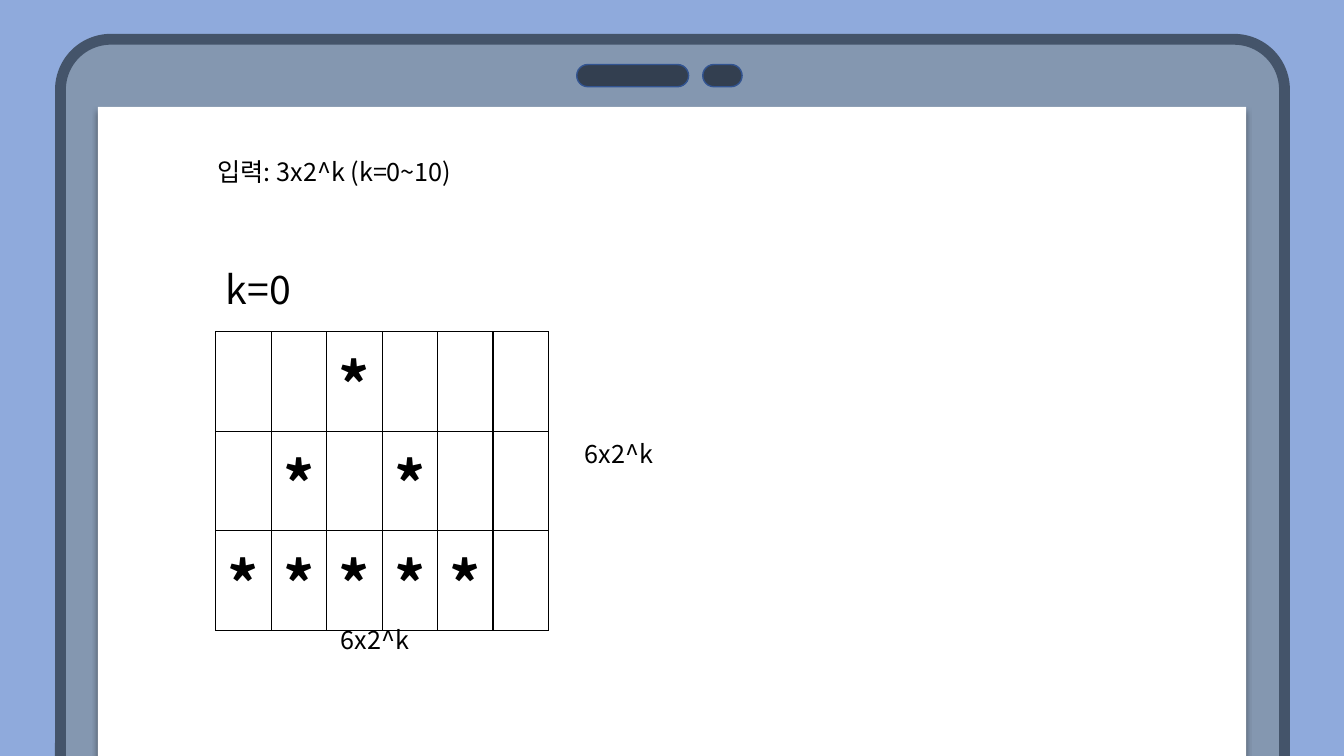
import pptx
import pptx.dml.color
import pptx.enum.shapes
import pptx.enum.text
import pptx.oxml
import pptx.oxml.ns
import pptx.util
from lxml import etree

Inches = pptx.util.Inches
Pt = pptx.util.Pt
qn = pptx.oxml.ns.qn
KINDS = pptx.enum.shapes.MSO_SHAPE

STAR_ROWS = ["  *   ", " * *  ", "***** "]
ROW_HEIGHTS = [0.87, 0.84, 0.84]
COLUMN_WIDTH = 0.55


def color(value):
    return pptx.dml.color.RGBColor.from_string(value)


class TabletSlide:
    FONT = "Noto Sans CJK KR"
    INK = "000000"
    PAPER = "FFFFFF"

    def __init__(self, deck, background):
        self.page = deck.slides.add_slide(deck.slide_layouts[6])
        self.page.background.fill.solid()
        self.page.background.fill.fore_color.rgb = color(background)

    def shape(self, kind, left, top, width, height, fill, line=None, line_width=1, corner=None):
        box = self.page.shapes.add_shape(
            kind, Inches(left), Inches(top), Inches(width), Inches(height))
        box.shadow.inherit = False
        box.fill.solid()
        box.fill.fore_color.rgb = color(fill)
        if corner is not None:
            box.adjustments[0] = corner
        if line:
            box.line.color.rgb = color(line)
            box.line.width = Pt(line_width)
        else:
            box.line.fill.background()
        return box

    def drop_shadow(self, box, size, opacity):
        """Give the box a soft shadow that falls straight down."""
        effects = box.element.spPr.find(qn("a:effectLst"))
        shadow = etree.SubElement(
            effects, qn("a:outerShdw"), blurRad=str(Pt(size)), dist=str(Pt(size)),
            dir="5400000", algn="t", rotWithShape="0")
        tint = etree.SubElement(shadow, qn("a:srgbClr"), val=self.INK)
        etree.SubElement(tint, qn("a:alpha"), val=str(opacity * 1000))

    def style(self, para, size, bold=False):
        para.font.size = Pt(size)
        para.font.bold = bold
        para.font.color.rgb = color(self.INK)
        para.font.name = self.FONT
        properties = para._p.pPr.find(qn("a:defRPr"))
        etree.SubElement(properties, qn("a:ea"), typeface=self.FONT)

    def text(self, words, left, top, width, height=0.4, size=18):
        box = self.page.shapes.add_textbox(
            Inches(left), Inches(top), Inches(width), Inches(height))
        frame = box.text_frame
        frame.word_wrap = True
        frame.auto_size = pptx.enum.text.MSO_AUTO_SIZE.SHAPE_TO_FIT_TEXT
        frame.text = words
        self.style(frame.paragraphs[0], size)

    def border(self, cell, width=1):
        properties = cell._tc.get_or_add_tcPr()
        for side in ("a:lnL", "a:lnR", "a:lnT", "a:lnB"):
            line = etree.SubElement(properties, qn(side), w=str(Pt(width)))
            fill = etree.SubElement(line, qn("a:solidFill"))
            etree.SubElement(fill, qn("a:srgbClr"), val=self.INK)

    def star_table(self, left, top, rows, row_heights, column_width):
        count = len(rows[0])
        table = self.page.shapes.add_table(
            len(rows), count, Inches(left), Inches(top),
            Inches(column_width * count), Inches(sum(row_heights))).table
        table.first_row = False
        table.horz_banding = False
        for column in table.columns:
            column.width = Inches(column_width)
        for row, height, marks in zip(table.rows, row_heights, rows):
            row.height = Inches(height)
            for cell, mark in zip(row.cells, marks):
                self.border(cell)
                cell.fill.solid()
                cell.fill.fore_color.rgb = color(self.PAPER)
                if mark == "*":
                    cell.text = mark
                    cell.vertical_anchor = pptx.enum.text.MSO_ANCHOR.MIDDLE
                    para = cell.text_frame.paragraphs[0]
                    para.alignment = pptx.enum.text.PP_ALIGN.CENTER
                    self.style(para, 44, bold=True)


def main():
    deck = pptx.Presentation()
    deck.slide_width = Inches(13.33)
    deck.slide_height = Inches(7.5)
    slide = TabletSlide(deck, "8FAADC")

    slide.shape(KINDS.ROUNDED_RECTANGLE, 0.6, 0.39, 12.14, 7.93, "8497B0",
                line="44546A", line_width=7.75, corner=0.063)
    screen = slide.shape(KINDS.RECTANGLE, 0.97, 1.06, 11.39, 7.29, slide.PAPER)
    slide.drop_shadow(screen, size=4, opacity=43)
    for left, width in ((5.72, 1.11), (6.97, 0.39)):
        slide.shape(KINDS.ROUNDED_RECTANGLE, left, 0.64, width, 0.22, "333F50",
                    line="325491", corner=0.5)

    slide.star_table(2.14, 3.29, STAR_ROWS, ROW_HEIGHTS, COLUMN_WIDTH)
    slide.text("입력: 3x2^k (k=0~10)", 2.06, 1.5, 4.24)
    for left, top in ((3.28, 6.14), (5.7, 4.3)):
        slide.text("6x2^k", left, top, 0.9)
    slide.text("k=0", 2.14, 2.58, 0.9, 0.57, size=28)

    deck.save("out.pptx")


if __name__ == "__main__":
    main()
